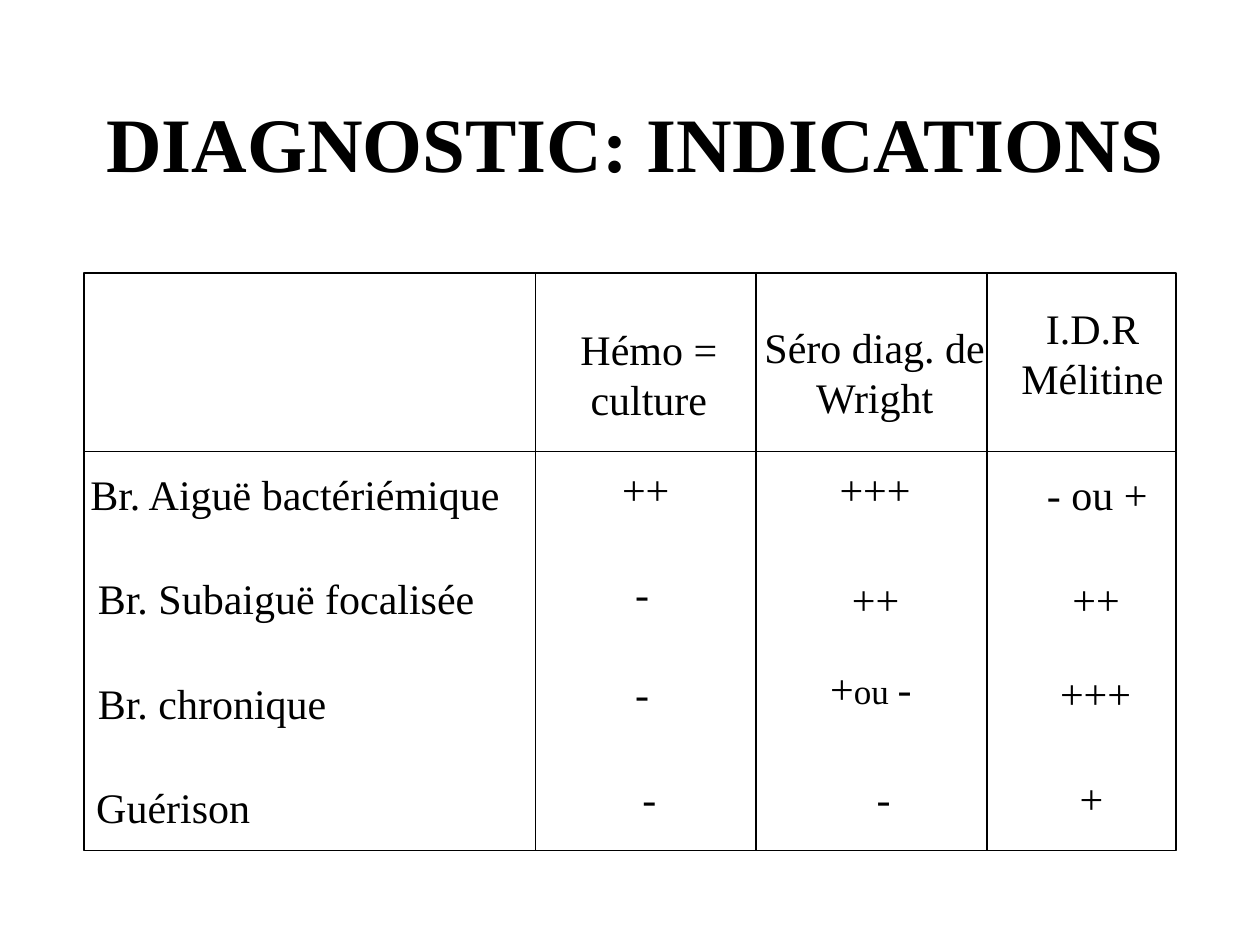
from lxml.etree import SubElement
from pptx import Presentation
from pptx.dml.color import RGBColor
from pptx.enum.shapes import MSO_CONNECTOR, MSO_SHAPE
from pptx.enum.text import MSO_ANCHOR, MSO_AUTO_SIZE, PP_ALIGN
from pptx.oxml.ns import qn
from pptx.util import Inches, Pt

BLACK = RGBColor(0, 0, 0)
WHITE = RGBColor(255, 255, 255)
FONT = "Times New Roman"
LINE = Pt(0.75)

deck = Presentation()
deck.slide_width, deck.slide_height = Inches(10), Inches(7.5)
slide = deck.slides.add_slide(deck.slide_layouts[6])
shapes = slide.shapes

# The slide is a grid of 120 columns by 90 rows.
unit = deck.slide_width / 120
edges = [8, 51, 72, 94, 112]
bands = [26, 43, 81]


def grid(*cells):
    """Turn grid counts into slide lengths."""
    return [round(cell * unit) for cell in cells]


def add_text(box, lines, bold=False, wrap=False):
    """Each line is a list of (text, size) runs."""
    frame = shapes.add_textbox(*grid(*box)).text_frame
    frame.word_wrap = wrap
    frame.auto_size = MSO_AUTO_SIZE.NONE if wrap else MSO_AUTO_SIZE.SHAPE_TO_FIT_TEXT
    frame.vertical_anchor = MSO_ANCHOR.MIDDLE if wrap else MSO_ANCHOR.TOP
    # Narrow side margins leave each short mark on one line.
    frame.margin_left = frame.margin_right = Inches(0.05)
    for i, runs in enumerate(lines):
        para = frame.add_paragraph() if i else frame.paragraphs[0]
        para.alignment = PP_ALIGN.CENTER
        for text, size in runs:
            run = para.add_run()
            run.text = text
            font = run.font
            font.name, font.size, font.bold = FONT, Pt(size), bold
            font.color.rgb = BLACK


add_text((5, 6, 111, 15), [[("DIAGNOSTIC: INDICATIONS", 44)]], bold=True, wrap=True)

# Header and body frames
for top, end in zip(bands, bands[1:]):
    frame = shapes.add_shape(
        MSO_SHAPE.RECTANGLE, *grid(edges[0], top, edges[-1] - edges[0], end - top))
    frame.shadow.inherit = False
    frame.fill.solid()
    frame.fill.fore_color.rgb = WHITE
    frame.line.color.rgb = BLACK
    frame.line.width = LINE

# Column rules in both bands, and a short tick on the right edge
rules = [(x, top, end) for top, end in zip(bands, bands[1:]) for x in edges[1:-1]]
rules.append((edges[-1], 34.4, 34.6))
for x, top, end in rules:
    rule = shapes.add_connector(MSO_CONNECTOR.STRAIGHT, *grid(x, top, x, end))
    rule.line.color.rgb = BLACK
    rule.line.width = LINE
    SubElement(rule._element.spPr, qn("a:effectLst"))

# Column heads: left, top, width, lines
heads = [
    (54.1, 30.2, 15.4, ["Hémo =", "culture"]),
    (71.6, 30, 23.4, ["Séro diag. de", "Wright"]),
    (96.1, 28.2, 15.9, ["I.D.R", "Mélitine"]),
]
for left, top, width, lines in heads:
    add_text((left, top, width, 10.8), [[(line, 24)] for line in lines])

# Row labels: left, top, width, text
labels = [
    (7.2, 44, 41.8, "Br. Aiguë bactériémique"),
    (8, 53.9, 38.5, "Br. Subaiguë focalisée"),
    (8, 63.9, 24.4, "Br. chronique"),
    (8, 73.8, 17, "Guérison"),
]
for left, top, width, text in labels:
    add_text((left, top, width, 6), [[(text, 24)]])

# Results, column by column: left, top, width, runs
marks = [
    (58.1, 43.6, 6.8, [("++", 24)]),
    (59.3, 53.5, 3.7, [("-", 24)]),
    (59.3, 63, 3.7, [("-", 24)]),
    (60, 73, 3.7, [("-", 24)]),
    (78.8, 43.6, 9.1, [("+++", 24)]),
    (80, 54, 6.8, [("++", 24)]),
    (77.9, 62.5, 10.1, [("+", 24), ("ou ", 20), ("-", 24)]),
    (82.3, 73, 3.7, [("-", 24)]),
    (98.5, 44, 12, [("- ou +", 24)]),
    (101, 54, 6.8, [("++", 24)]),
    (99.8, 63, 9.1, [("+++", 24)]),
    (101.6, 73, 4.7, [("+", 24)]),
]
for left, top, width, runs in marks:
    add_text((left, top, width, 6), [runs])

deck.save("out.pptx")
